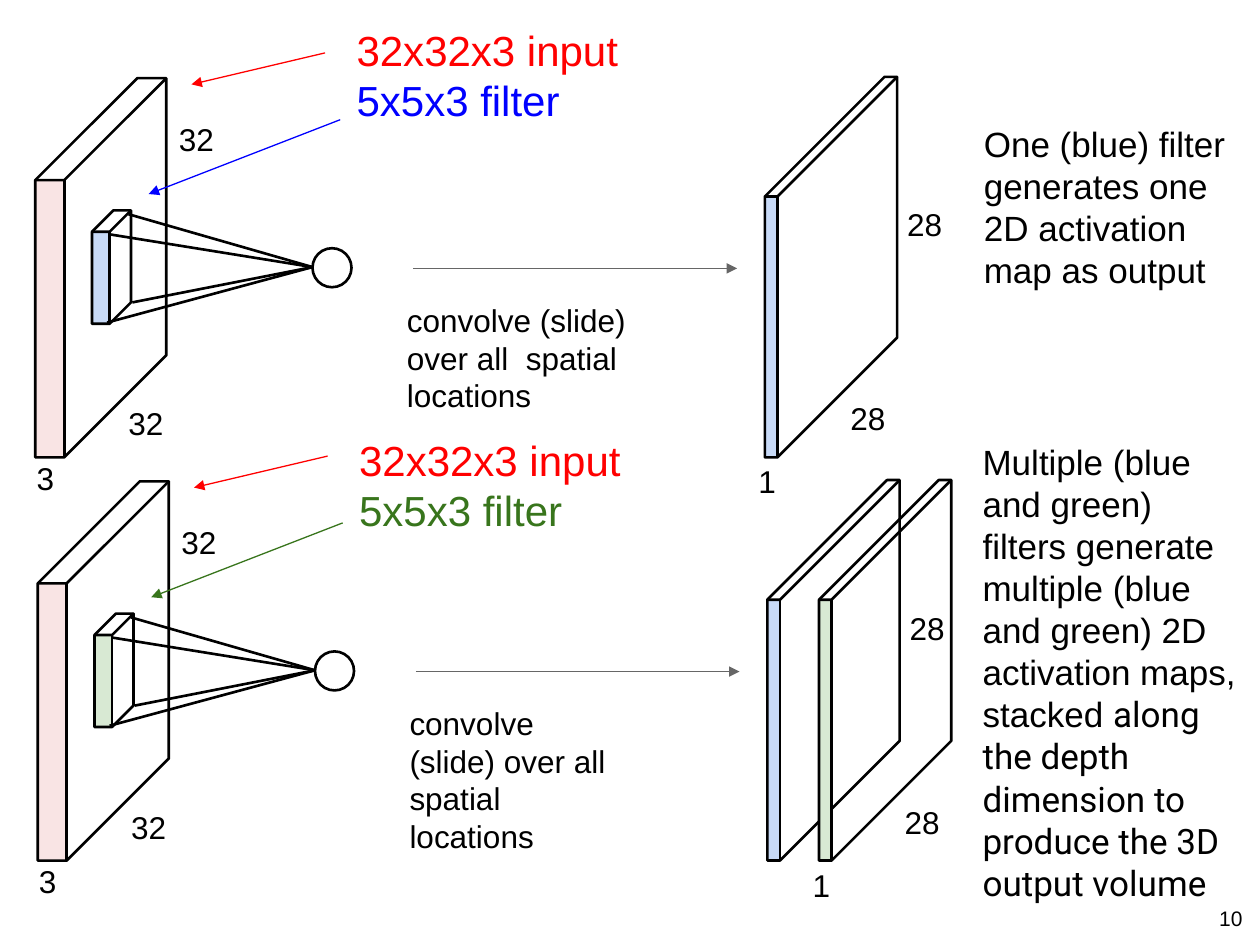
import pptx
import pptx.dml.color
import pptx.enum.shapes
import pptx.enum.text
import pptx.oxml
import pptx.oxml.ns
import pptx.util
from pptx.util import Inches

COLORS = {
    "black": "000000",
    "red": "FF0000",
    "blue": "0000FF",
    "green": "38751C",
    "gray": "666666",
    "pale blue": "C8DAF7",
    "pale green": "D8E9D3",
    "pale pink": "F9E4E4",
}
ALIGN = pptx.enum.text.PP_ALIGN


def rgb(name):
    return pptx.dml.color.RGBColor.from_string(COLORS[name])


def write(paragraph, text, size=18, color="black", font="Arial", align=ALIGN.LEFT, spacing=None):
    run = paragraph.add_run()
    run.text = text
    run.font.size = pptx.util.Pt(size)
    run.font.name = font
    run.font.color.rgb = rgb(color)
    paragraph.alignment = align
    if spacing:
        paragraph.line_spacing = pptx.util.Pt(spacing)


class Diagram:
    outline = 1.5
    arrow_width = 0.75

    def __init__(self, slide):
        self.slide = slide

    def text_box(self, left, top, width, height, inset=(0, 0), wrap=True):
        box = self.slide.shapes.add_textbox(Inches(left), Inches(top), Inches(width), Inches(height))
        frame = box.text_frame
        frame.word_wrap = wrap
        frame.margin_left = frame.margin_right = Inches(inset[0])
        frame.margin_top = frame.margin_bottom = Inches(inset[1])
        return frame

    def label(self, left, top, text):
        frame = self.text_box(left, top, 0.17 * len(text), 0.31, wrap=False)
        write(frame.paragraphs[0], text)

    def line(self, start, end, color="black", width=outline, arrow=False):
        connector = self.slide.shapes.add_connector(
            pptx.enum.shapes.MSO_CONNECTOR.STRAIGHT, *[Inches(value) for value in (*start, *end)]
        )
        connector.line.color.rgb = rgb(color)
        connector.line.width = pptx.util.Pt(width)
        properties = connector._element.spPr
        if arrow:
            head = pptx.oxml.parse_xml(
                f'<a:tailEnd {pptx.oxml.ns.nsdecls("a")} type="triangle" w="med" len="med"/>'
            )
            connector.line._get_or_add_ln().append(head)
        properties.append(pptx.oxml.parse_xml(f'<a:effectLst {pptx.oxml.ns.nsdecls("a")}/>'))

    def arrow(self, start, end, color):
        self.line(start, end, color, self.arrow_width, arrow=True)

    def finish(self, shape, fill=None):
        shape.shadow.inherit = False
        if fill:
            shape.fill.solid()
            shape.fill.fore_color.rgb = rgb(fill)
            shape.line.fill.background()
        else:
            shape.fill.background()
            shape.line.color.rgb = rgb("black")
            shape.line.width = pptx.util.Pt(self.outline)

    def outline_shape(self, points, fill=None, close=True):
        corners = [(Inches(x), Inches(y)) for x, y in points]
        builder = self.slide.shapes.build_freeform(*corners[0])
        builder.add_line_segments(corners[1:], close=close)
        self.finish(builder.convert_to_shape(), fill)

    def circle(self, left, top, size):
        shape = self.slide.shapes.add_shape(
            pptx.enum.shapes.MSO_SHAPE.OVAL, Inches(left), Inches(top), Inches(size), Inches(size)
        )
        self.finish(shape)

    def prism(self, left, top, width, height, depth, fill):
        right, bottom = left + width, top + height
        front = [(left, top), (right, top), (right, bottom), (left, bottom)]
        back = [(x + depth, y - depth) for x, y in front]
        self.outline_shape(front, fill)
        self.outline_shape([front[0], *back[:3], front[2], front[3]])
        self.outline_shape([front[0], front[1], back[1]], close=False)
        self.line(front[1], front[2])


def draw_row(diagram, x, y, heading_top, filter_color, maps, map_gap, caption_width):
    diagram.prism(0.28 + x, 1.43 + y, 0.23, 2.2, 0.81, "pale pink")
    diagram.prism(0.73 + x, 1.84 + y, 0.14, 0.73, 0.17, maps[-1])
    diagram.circle(2.48 + x, 1.97 + y, 0.31)
    for start_x, start_y in [(0.85, 2.56), (0.87, 1.86), (1.02, 1.7), (1.05, 2.4)]:
        diagram.line((start_x + x, start_y + y), (2.48 + x, 2.12 + y))

    for index, fill in enumerate(maps):
        diagram.prism(6.07 + x + index * map_gap, 1.56 + y, 0.1, 2.07, 0.95, fill)
    last = x + (len(maps) - 1) * map_gap

    diagram.arrow((2.58 + x, 0.42 + y), (1.52 + x, 0.67 + y), "red")
    diagram.arrow((2.7 + x, 0.95 + y), (1.18 + x, 1.54 + y), filter_color)
    diagram.arrow((3.28 + x, 2.13 + y), (5.85 + x, 2.13 + y), "gray")

    for left, top, text in [
        (1.02 + x, 3.21, "32"),
        (1.42 + x, 0.95, "32"),
        (0.29 + x, 3.64, "3"),
        (7.2 + x, 1.63, "28"),
        (6.02 + last, 3.67, "1"),
        (6.75 + last, 3.17, "28"),
    ]:
        diagram.label(left, top + y, text)

    heading = diagram.text_box(2.83 + x, heading_top, 2.48, 0.79)
    write(heading.paragraphs[0], "32x32x3 input", size=24, color="red", spacing=28.5)
    write(heading.add_paragraph(), "5x5x3 filter", size=24, color=filter_color, spacing=28.5)
    caption = diagram.text_box(3.23 + x, 2.39 + y, caption_width, 0.9)
    write(caption.paragraphs[0], "convolve (slide) over all  spatial locations", spacing=21.5)


def main():
    presentation = pptx.Presentation()
    presentation.slide_width = Inches(10)
    presentation.slide_height = Inches(7.5)
    slide = presentation.slides.add_slide(presentation.slide_layouts[6])
    diagram = Diagram(slide)

    draw_row(diagram, 0, 0, 0.2, "blue", ["pale blue"], 0, 1.9)
    draw_row(diagram, 0.02, 3.2, 3.45, "green", ["pale blue", "pale green"], 0.41, 1.65)

    inset = (0.1, 0.05)
    single = diagram.text_box(7.71, 0.92, 2.24, 1.72, inset)
    write(
        single.paragraphs[0],
        "One (blue) filter generates one 2D activation map as output",
        size=20,
        spacing=24,
    )
    multiple = diagram.text_box(7.7, 3.45, 2.24, 3.8, inset).paragraphs[0]
    write(
        multiple,
        "Multiple (blue and green) filters generate multiple (blue and green) 2D activation maps, stacked ",
        size=20,
        spacing=24,
    )
    write(
        multiple,
        "along the depth dimension to produce the 3D output volume",
        size=20,
        font="Roboto",
        spacing=24,
    )
    number = diagram.text_box(7.63, 7.14, 2.33, 0.27, inset)
    write(number.paragraphs[0], "10", size=12, align=ALIGN.RIGHT)

    presentation.save("out.pptx")


if __name__ == "__main__":
    main()
